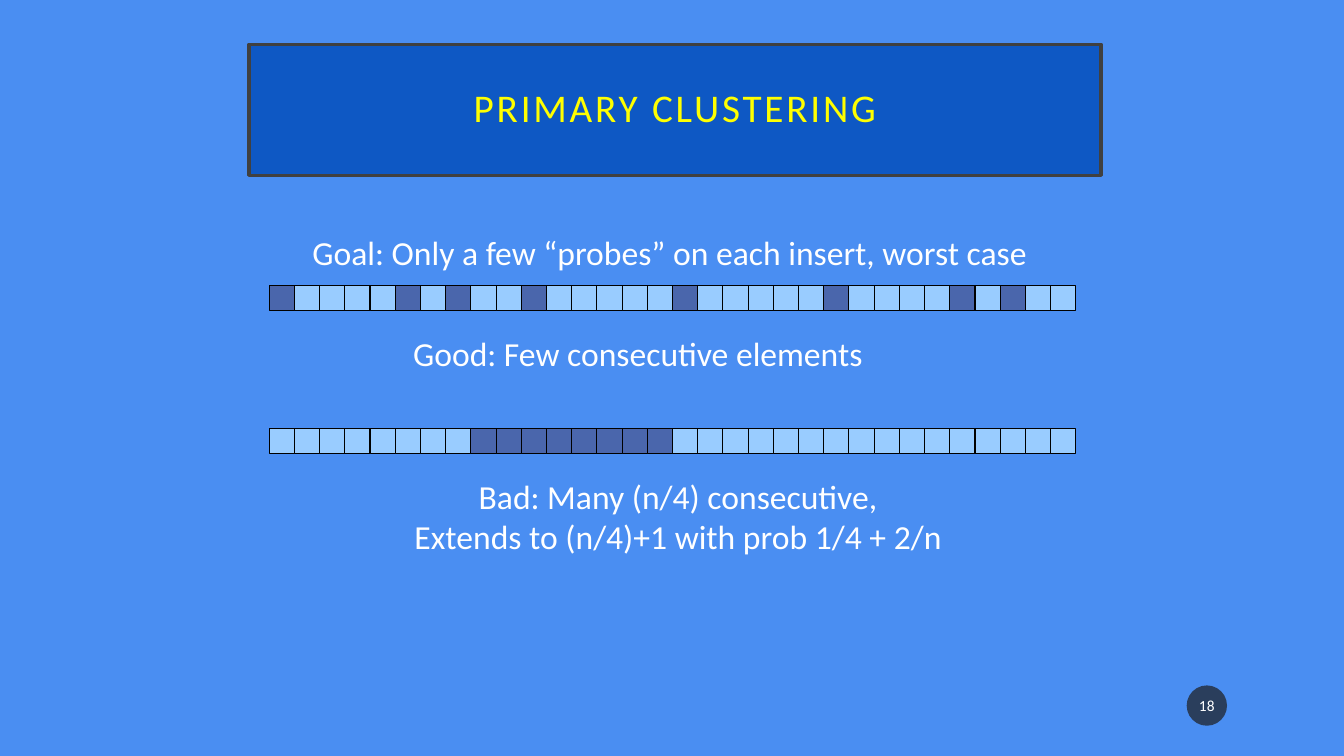
from lxml.etree import SubElement
from pptx import Presentation
from pptx.dml.color import RGBColor
from pptx.enum.shapes import MSO_SHAPE
from pptx.enum.text import MSO_ANCHOR, MSO_AUTO_SIZE, PP_ALIGN
from pptx.oxml.ns import qn
from pptx.util import Inches, Pt

CELL = 0.25          # inches: side of a table cell and unit of the layout grid
TABLE_LEFT = 10.68   # all positions below are in grid units
SLOTS = 32
FREE, TAKEN = "99CCFF", "4A66AC"
WHITE = "FFFFFF"


def grid(units):
    """Turn grid units into a length."""
    return Inches(units * CELL)


def paint(fill, color):
    """Make a fill solid in a hex colour."""
    fill.solid()
    fill.fore_color.rgb = RGBColor.from_string(color)


def add_block(shapes, kind, place, color, line=None):
    """Add a filled shape; line is (colour, points) or None."""
    block = shapes.add_shape(kind, *map(grid, place))
    block.shadow.inherit = False
    paint(block.fill, color)
    if line:
        paint(block.line.fill, line[0])
        block.line.width = Pt(line[1])
    else:
        block.line.fill.background()
    return block


def write(box, lines, size, color=WHITE, align=PP_ALIGN.CENTER):
    """Write one paragraph per line and return the spans."""
    frame = box.text_frame
    spans = []
    for index, line in enumerate(lines):
        para = frame.add_paragraph() if index else frame.paragraphs[0]
        para.alignment = align
        span = para.add_run()
        span.text = line
        span.font.name = "Calibri"
        span.font.size = Pt(size)
        paint(span.font.fill, color)
        spans.append(span)
    return spans


def set_insets(box, side, end):
    """Centre text vertically with the given insets in inches."""
    frame = box.text_frame
    frame.vertical_anchor = MSO_ANCHOR.MIDDLE
    frame.margin_left = frame.margin_right = Inches(side)
    frame.margin_top = frame.margin_bottom = Inches(end)


def add_caption(shapes, place, lines, align=PP_ALIGN.LEFT):
    """Add an unwrapped caption that grows with its text."""
    box = shapes.add_textbox(*map(grid, place))
    box.text_frame.word_wrap = False
    box.text_frame.auto_size = MSO_AUTO_SIZE.SHAPE_TO_FIT_TEXT
    write(box, lines, 24, align=align)


def add_hash_table(page, top, taken):
    """Add a grouped row of slots with the taken ones dark."""
    group = page.shapes.add_group_shape()
    for slot in range(SLOTS):
        color = TAKEN if slot in taken else FREE
        place = (TABLE_LEFT + slot, top, 1, 1)
        add_block(group.shapes, MSO_SHAPE.RECTANGLE, place, color, ("000000", 0.75))
    return group


def add_title(page, text):
    """Add the framed title with spaced letters."""
    title = add_block(page.shapes, MSO_SHAPE.RECTANGLE, (9.88, 1.76, 33.8, 5.2),
                      "0E58C4", ("404040", 2.5))
    title.text_frame.word_wrap = True
    set_insets(title, 0.2, 0.2)
    for span in write(title, [text], 28, "FFFF00"):
        span.font._element.set("spc", "200")
    title.text_frame.paragraphs[0].line_spacing = 0.9


def add_page_number(page, number):
    """Add the page number on a see-through dark disc."""
    disc = add_block(page.shapes, MSO_SHAPE.OVAL, (47.08, 27.2, 1.6, 1.6), "1D1D1D")
    tint = disc.fill._xPr.find(qn("a:solidFill"))[0]
    SubElement(tint, qn("a:alpha")).set("val", "70000")
    set_insets(disc, 0.02, 0.05)
    write(disc, [number], 11)


def main():
    """Build the slide and save it."""
    deck = Presentation()
    deck.slide_width, deck.slide_height = Inches(13.33), Inches(7.5)
    page = deck.slides.add_slide(deck.slide_layouts[6])
    paint(page.background.fill, "4A8EF2")

    add_title(page, "PRIMARY CLUSTERING")
    add_hash_table(page, 11.32, {0, 5, 7, 10, 16, 22, 27, 29})
    add_caption(page.shapes, (16, 13, 18.8, 2), ["Good: Few consecutive elements"])
    clustered = add_hash_table(page, 17, range(8, 16))
    add_caption(clustered.shapes, (15.96, 18.68, 21.88, 3.64),
                ["Bad: Many (n/4) consecutive,",
                 "Extends to (n/4)+1 with prob 1/4 + 2/n"], PP_ALIGN.CENTER)
    add_caption(page.shapes, (12, 9, 29.4, 2),
                ["Goal: Only a few “probes” on each insert, worst case"])
    add_page_number(page, "18")
    deck.save("out.pptx")


main()
